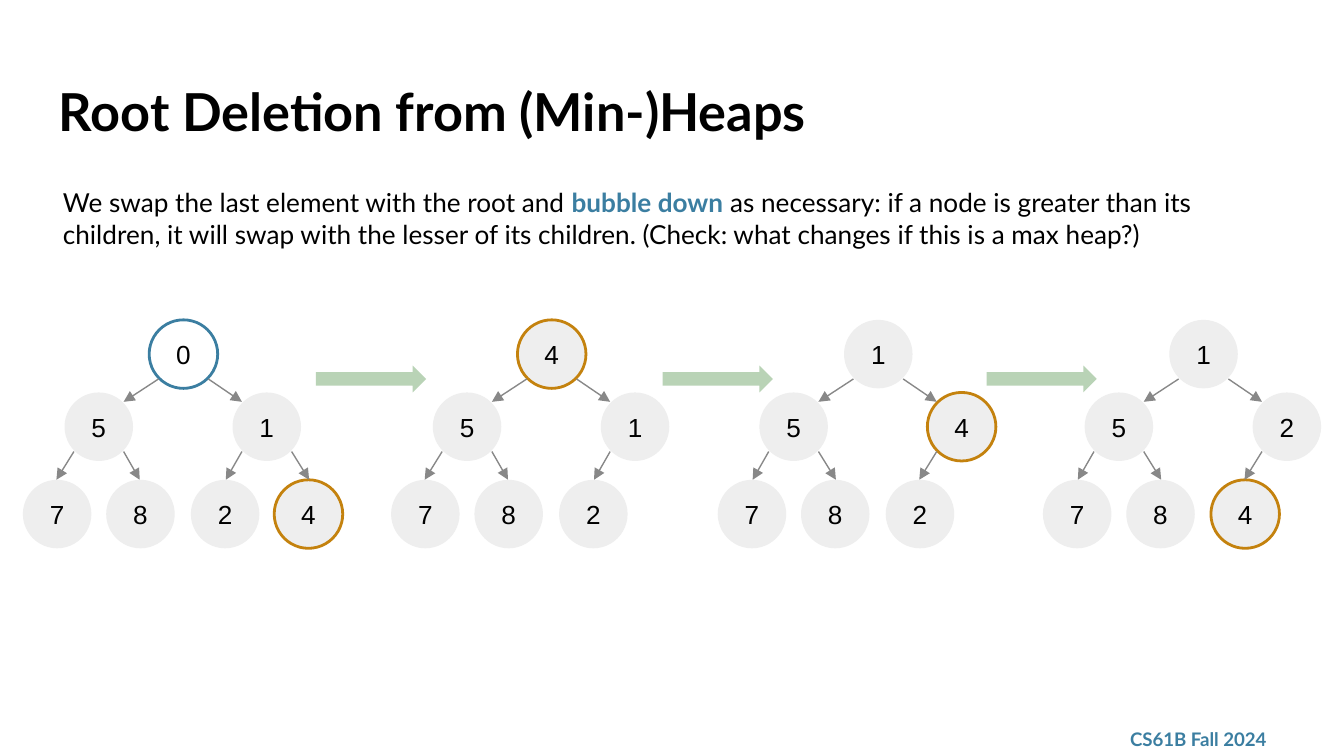
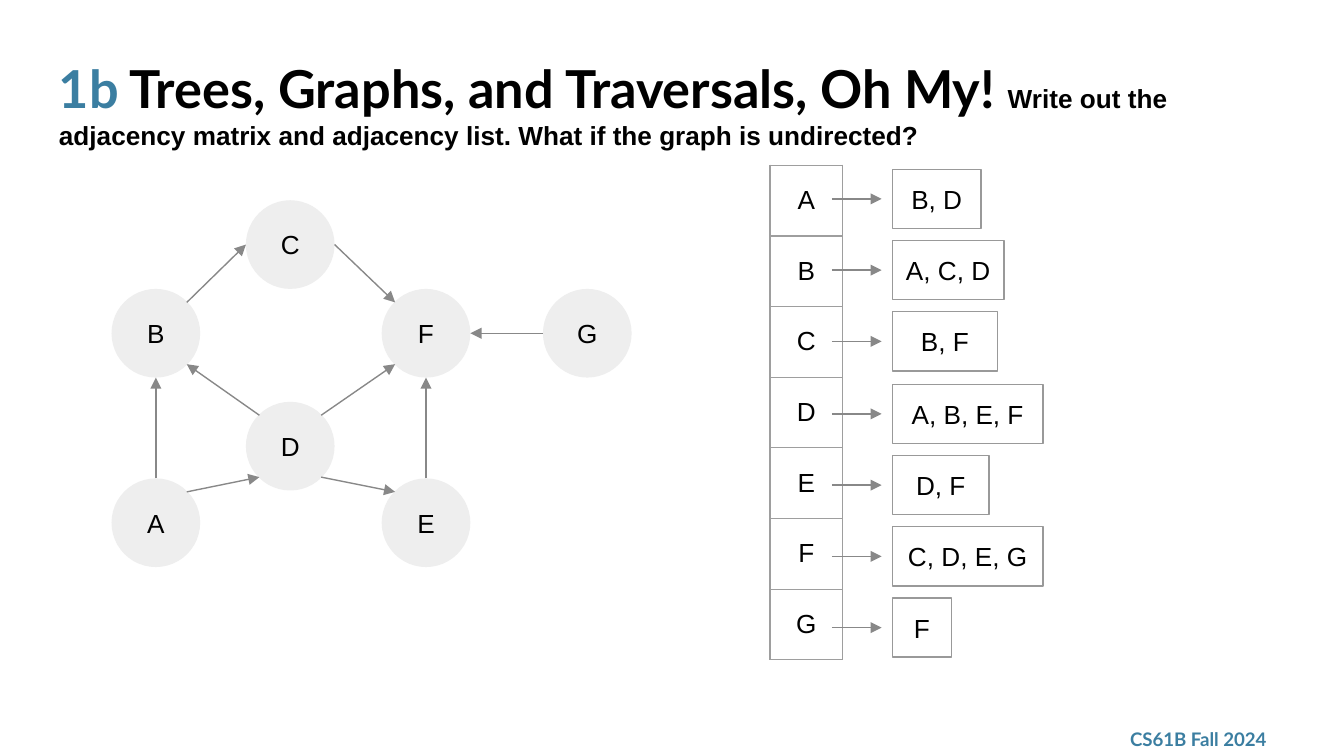
from lxml import etree
from pptx import Presentation
from pptx.dml.color import RGBColor
from pptx.enum.shapes import MSO_CONNECTOR, MSO_SHAPE
from pptx.enum.text import MSO_ANCHOR, PP_ALIGN
from pptx.oxml.ns import qn
from pptx.util import Emu, Pt

PX = 9144  # 100 px to the inch
STRAIGHT = MSO_CONNECTOR.STRAIGHT
CIRCLE, TREE_CIRCLE = MSO_SHAPE.OVAL, MSO_SHAPE.FLOWCHART_CONNECTOR
RECTANGLE, RIGHT_ARROW = MSO_SHAPE.RECTANGLE, MSO_SHAPE.RIGHT_ARROW
TOP, MIDDLE = MSO_ANCHOR.TOP, MSO_ANCHOR.MIDDLE
LEFT, CENTER = PP_ALIGN.LEFT, PP_ALIGN.CENTER

BLACK, WHITE = "000000", "FFFFFF"
BLUE, ORANGE, GREEN = "3B7EA1", "C4820E", "B9D3B6"
NODE_GRAY, EDGE_GRAY, BOX_GRAY, TABLE_GRAY = "EEEEEE", "888888", "999999", "9E9E9E"
HEADING_FONT, LABEL_FONT = "Lato", "Arial"

DIAGONAL = 0.71
SITES = {
    "top": (0, -1), "bottom": (0, 1), "left": (-1, 0), "right": (1, 0),
    "top left": (-DIAGONAL, -DIAGONAL), "top right": (DIAGONAL, -DIAGONAL),
    "bottom left": (-DIAGONAL, DIAGONAL), "bottom right": (DIAGONAL, DIAGONAL),
}

TREE_NODE, LEAF_SPAN, LEVEL_TOPS = 51, 187, (0, 54, 119)
TREES_TOP = 238
# Left edge, values in level order, and outlined nodes as index: (fill, line)
HEAPS = [
    (17, "0517824", {0: (WHITE, BLUE), 6: (NODE_GRAY, ORANGE)}),
    (291, "451782", {0: (NODE_GRAY, ORANGE)}),
    (534, "154782", {2: (NODE_GRAY, ORANGE)}),
    (776, "152784", {5: (NODE_GRAY, ORANGE)}),
]
STEP_ARROW_LEFTS = (235, 493, 734)

GRAPH_NODE = 66
GRAPH_NODES = {"A": (0, 207), "B": (0, 66), "D": (100, 150), "E": (201, 207),
               "F": (201, 66), "C": (100, 0), "G": (321, 66)}
GRAPH_EDGES = [
    ("A", "top", "B", "bottom"),
    ("A", "top right", "D", "bottom left"),
    ("D", "top left", "B", "bottom right"),
    ("B", "top right", "C", "left"),
    ("D", "top right", "F", "bottom left"),
    ("D", "bottom right", "E", "top left"),
    ("E", "top", "F", "bottom"),
    ("C", "right", "F", "top left"),
    ("G", "left", "F", "right"),
]
# Vertex, neighbours, width of the neighbour box
ADJACENCY = [("A", "B, D", 66), ("B", "A, C, D", 83), ("C", "B, F", 78),
             ("D", "A, B, E, F", 112), ("E", "D, F", 72),
             ("F", "C, D, E, G", 112), ("G", "F", 44)]


def px(*lengths):
    return [Emu(round(length * PX)) for length in lengths]


def color(hex_value):
    return RGBColor.from_string(hex_value)


def write(frame, runs, align=LEFT, anchor=TOP, **base):
    """Fill a text frame or cell with one paragraph of (text, format) runs."""
    frame.word_wrap = True
    frame.vertical_anchor = anchor
    frame.margin_left, frame.margin_top, frame.margin_right, frame.margin_bottom = px(10, 10, 10, 10)
    write_paragraph(frame.paragraphs[0], runs, align, **base)


def write_paragraph(paragraph, runs, align, **base):
    paragraph.alignment = align
    for text, changes in runs:
        look = {"size": 14, "font": LABEL_FONT, "ink": BLACK, "bold": False, **base, **changes}
        run = paragraph.add_run()
        run.text = text
        run.font.size = Pt(look["size"])
        run.font.name = look["font"]
        run.font.bold = look["bold"]
        run.font.color.rgb = color(look["ink"])


def add_text(slide, box, runs, **look):
    write(slide.shapes.add_textbox(*px(*box)).text_frame, runs, **look)


def add_box(shapes, kind, box, label="", fill=None, line=None, weight=0.75):
    shape = shapes.add_shape(kind, *px(*box))
    shape.shadow.inherit = False
    if fill:
        shape.fill.solid()
        shape.fill.fore_color.rgb = color(fill)
    else:
        shape.fill.background()
    if line:
        shape.line.color.rgb = color(line)
        shape.line.width = Pt(weight)
    else:
        shape.line.fill.background()
    if label:
        write(shape.text_frame, [(label, {})], align=CENTER, anchor=MIDDLE)


def add_arrow(shapes, start, end):
    arrow = shapes.add_connector(STRAIGHT, *px(*start, *end))
    arrow.line.color.rgb = color(EDGE_GRAY)
    arrow.line.width = Pt(0.75)
    properties = arrow._element.spPr
    etree.SubElement(properties.find(qn("a:ln")), qn("a:tailEnd"), type="triangle")
    etree.SubElement(properties, qn("a:effectLst"))


def site(corner, diameter, name):
    """Point on the rim of the circle whose box starts at corner."""
    radius = diameter / 2
    return [round(start + radius * (1 + shift)) for start, shift in zip(corner, SITES[name])]


def add_heading(slide, top, runs):
    add_text(slide, (34, top, 932, 63), runs, size=28, font=HEADING_FONT, bold=True)


def add_footer(slide):
    add_text(slide, (831, 537, 135, 26), [("CS61B Fall 2024", {})], anchor=MIDDLE,
             size=10, font=HEADING_FONT, ink=BLUE, bold=True)


def heap_corner(index, left, top):
    """Top left corner of a node, each parent centred over its leaves."""
    level = (index + 1).bit_length() - 1
    place = index + 1 - 2 ** level
    leaves = 4 >> level
    offset = LEAF_SPAN / 3 * (place * leaves + (leaves - 1) / 2)
    return left + round(offset), top + LEVEL_TOPS[level]


def add_heap(slide, left, top, values, outlined):
    shapes = slide.shapes.add_group_shape().shapes
    corners = [heap_corner(index, left, top) for index in range(len(values))]
    for index, (corner, value) in enumerate(zip(corners, values)):
        fill, line = outlined.get(index, (NODE_GRAY, None))
        add_box(shapes, TREE_CIRCLE, (*corner, TREE_NODE, TREE_NODE), value, fill, line, 1.5)
    for child in range(1, len(values)):
        side, facing = ("left", "right") if child % 2 else ("right", "left")
        end_site = f"top {facing}" if child < 3 else "top"
        add_arrow(shapes, site(corners[(child - 1) // 2], TREE_NODE, f"bottom {side}"),
                  site(corners[child], TREE_NODE, end_site))


def add_graph(slide, left, top):
    corners = {name: (left + x, top + y) for name, (x, y) in GRAPH_NODES.items()}
    for name, corner in corners.items():
        add_box(slide.shapes, CIRCLE, (*corner, GRAPH_NODE, GRAPH_NODE), name, NODE_GRAY)
    for source, leave, target, enter in GRAPH_EDGES:
        add_arrow(slide.shapes, site(corners[source], GRAPH_NODE, leave),
                  site(corners[target], GRAPH_NODE, enter))


def add_cell_borders(cell):
    properties = cell._tc.get_or_add_tcPr()
    for side in ("a:lnL", "a:lnR", "a:lnT", "a:lnB"):
        border = etree.SubElement(properties, qn(side), w=str(Pt(0.75)))
        fill = etree.SubElement(border, qn("a:solidFill"))
        etree.SubElement(fill, qn("a:srgbClr"), val=TABLE_GRAY)


def add_vertex_table(slide, left, top, width, height):
    table = slide.shapes.add_table(len(ADJACENCY), 1, *px(left, top, width, height)).table
    table.first_row = table.horz_banding = False
    for row, (vertex, _, _) in enumerate(ADJACENCY):
        cell = table.cell(row, 0)
        add_cell_borders(cell)
        cell.fill.background()
        cell.vertical_anchor = MIDDLE
        cell.margin_left, cell.margin_top, cell.margin_right, cell.margin_bottom = px(10, 10, 10, 10)
        write_paragraph(cell.text_frame.paragraphs[0], [(vertex, {})], CENTER)


def add_adjacency_list(slide, left, top):
    add_vertex_table(slide, left, top, 54, 368)
    box_height, first_to_last = 44, 319
    for row, (_, neighbours, width) in enumerate(ADJACENCY):
        box_top = top + 3 + round(row * first_to_last / (len(ADJACENCY) - 1))
        middle = box_top + box_height // 2
        add_box(slide.shapes, RECTANGLE, (left + 91, box_top, width, box_height),
                neighbours, line=BOX_GRAY)
        add_arrow(slide.shapes, (left + 46, middle), (left + 83, middle))


def build_heap_slide(slide):
    add_footer(slide)
    add_heading(slide, 49, [("Root Deletion from (Min-)Heaps", {})])
    for left, values, outlined in HEAPS:
        add_heap(slide, left, TREES_TOP, values, outlined)
    for left in STEP_ARROW_LEFTS:
        add_box(slide.shapes, RIGHT_ARROW, (left, TREES_TOP + 34, 82, 20), fill=GREEN)
    add_text(slide, (37, 129, 920, 91), [
        ("We swap the last element with the root and ", {}),
        ("bubble down", {"ink": BLUE, "bold": True}),
        (" as necessary: if a node is greater than its children, it will swap with the "
         "lesser of its children. (Check: what changes if this is a max heap?)", {}),
    ], font=HEADING_FONT)


def build_graph_slide(slide):
    add_footer(slide)
    add_heading(slide, 32, [
        ("1b", {"ink": BLUE}),
        (" Trees, Graphs, and Traversals, Oh My! ", {}),
        ("Write out the adjacency matrix and adjacency list. What if the graph is undirected?",
         {"size": 14, "font": LABEL_FONT}),
    ])
    add_graph(slide, 83, 149)
    add_adjacency_list(slide, 573, 123)


def main():
    deck = Presentation()
    deck.slide_width = px(1000)[0]
    deck.slide_height = deck.slide_width * 9 // 16
    blank = deck.slide_layouts[6]
    for build in (build_heap_slide, build_graph_slide):
        build(deck.slides.add_slide(blank))
    deck.save("out.pptx")


if __name__ == "__main__":
    main()
